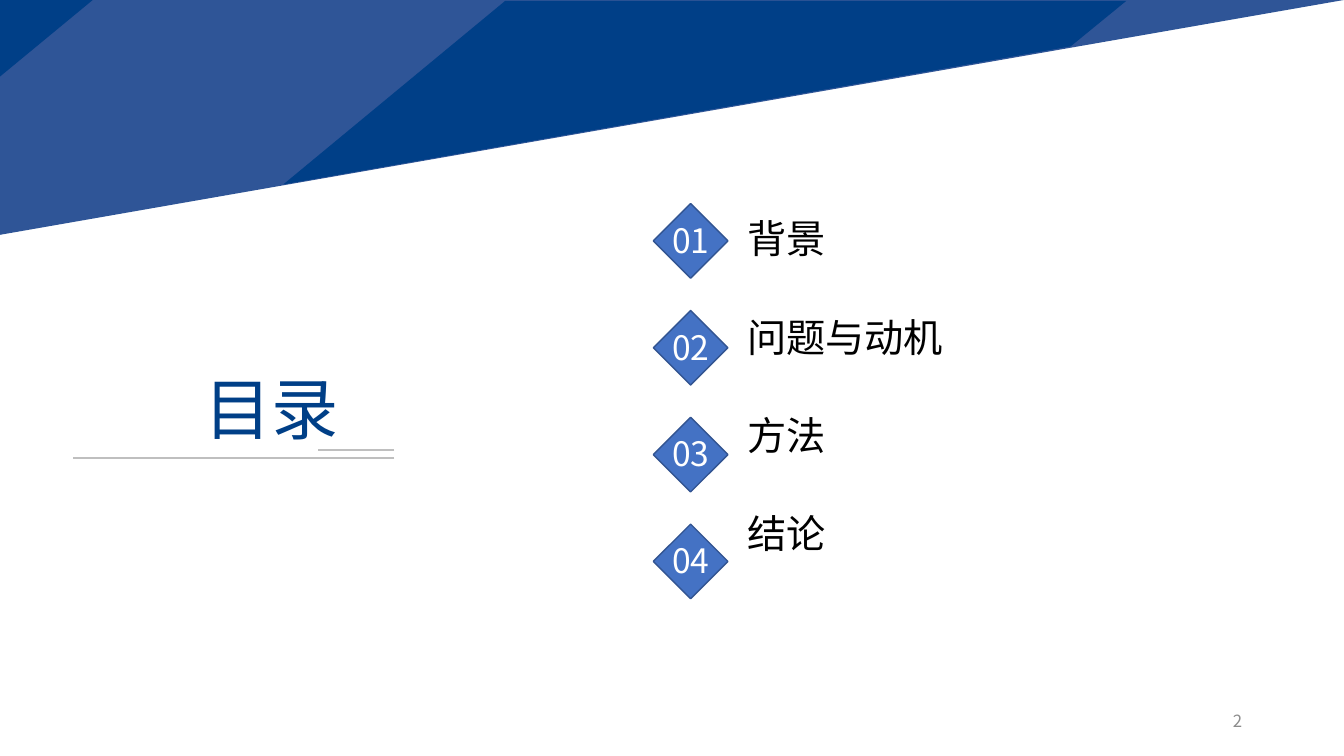
import dataclasses
import typing

import lxml.etree
import pptx
import pptx.dml.color
import pptx.enum.shapes
import pptx.enum.text
import pptx.oxml.ns
import pptx.util

Inches = pptx.util.Inches
Align = pptx.enum.text.PP_ALIGN
Anchor = pptx.enum.text.MSO_ANCHOR
qn = pptx.oxml.ns.qn


@dataclasses.dataclass(frozen=True)
class Theme:
    face: str = "Noto Sans CJK SC"
    navy: str = "003F87"
    steel: str = "2F5597"
    gem: str = "4472C4"
    edge: str = "325491"
    rule: str = "BFBFBF"
    grey: str = "8C8C8C"
    ink: str = "000000"
    white: str = "FFFFFF"
    title: float = 48
    item: float = 28
    badge: float = 24
    page: float = 12


@dataclasses.dataclass(frozen=True)
class Band:
    points: tuple[tuple[float, float], ...]
    color: str


@dataclasses.dataclass(frozen=True)
class Rule:
    left: float
    right: float
    top: float


@dataclasses.dataclass(frozen=True)
class Box:
    left: float
    top: float
    width: float
    height: float


THEME = Theme()
BANDS = (
    Band(((0, 0), (13.33, 0), (0, 2.33)), THEME.steel),
    Band(((0, 0), (0.92, 0), (0, 0.76)), THEME.navy),
    Band(((5.01, 0.01), (11.17, 0.01), (10.62, 0.46), (2.81, 1.83)), THEME.navy),
)
RULES = (Rule(0.72, 3.91, 4.54), Rule(3.15, 3.91, 4.46))
ITEMS = ("背景", "问题与动机", "方法", "结论")
PITCH = 1.06
ITEM_GAP = 36.5


def tint(code: str) -> pptx.dml.color.RGBColor:
    return pptx.dml.color.RGBColor.from_string(code)


def place(shape: typing.Any, box: Box) -> None:
    shape.left, shape.top = Inches(box.left), Inches(box.top)
    shape.width, shape.height = Inches(box.width), Inches(box.height)


def style(frame: typing.Any, size: float, color: str, align: Align,
          anchor: Anchor = Anchor.TOP) -> None:
    frame.word_wrap = True
    frame.auto_size = pptx.enum.text.MSO_AUTO_SIZE.NONE
    frame.vertical_anchor = anchor
    for line in frame.paragraphs:
        line.alignment = align
        for run in line.runs:
            run.font.size = pptx.util.Pt(size)
            run.font.color.rgb = tint(color)
            run.font.name = THEME.face
            east = lxml.etree.SubElement(run.font._element, qn("a:ea"))
            east.set("typeface", THEME.face)


def add_text(slide: typing.Any, box: Box, text: str, size: float, color: str,
             align: Align, anchor: Anchor = Anchor.TOP) -> None:
    shape = slide.shapes.add_textbox(0, 0, 0, 0)
    place(shape, box)
    shape.text_frame.text = text
    style(shape.text_frame, size, color, align, anchor)


def add_band(slide: typing.Any, band: Band) -> None:
    start, *rest = [(Inches(x), Inches(y)) for x, y in band.points]
    path = slide.shapes.build_freeform(*start)
    path.add_line_segments(rest, close=True)
    shape = path.convert_to_shape()
    shape.shadow.inherit = False
    shape.fill.solid()
    shape.fill.fore_color.rgb = tint(band.color)
    shape.line.fill.background()


def add_rule(slide: typing.Any, rule: Rule) -> None:
    line = slide.shapes.add_connector(
        pptx.enum.shapes.MSO_CONNECTOR.STRAIGHT,
        Inches(rule.right), Inches(rule.top), Inches(rule.left), Inches(rule.top))
    line.line.color.rgb = tint(THEME.rule)
    line.line.width = pptx.util.Pt(1.5)
    lxml.etree.SubElement(line._element.spPr, qn("a:effectLst"))


def add_badge(slide: typing.Any, index: int) -> None:
    top = 2.02 + index * PITCH
    gem = slide.shapes.add_shape(
        pptx.enum.shapes.MSO_SHAPE.DIAMOND,
        Inches(6.48), Inches(top), Inches(0.74), Inches(0.74))
    gem.shadow.inherit = False
    gem.fill.solid()
    gem.fill.fore_color.rgb = tint(THEME.gem)
    gem.line.color.rgb = tint(THEME.edge)
    gem.line.width = pptx.util.Pt(1)
    add_text(slide, Box(6.54, top + 0.11, 0.62, 0.5), f"{index + 1:02}",
             THEME.badge, THEME.white, Align.CENTER)


def fill_title(slide: typing.Any) -> None:
    title = slide.shapes.title
    place(title, Box(1.09, 3.59, 3.21, 1.07))
    title.text_frame.text = "目录"
    style(title.text_frame, THEME.title, THEME.navy, Align.CENTER)


def fill_list(slide: typing.Any) -> None:
    body = slide.placeholders[1]
    place(body, Box(7.31, 2.08, 4.91, 3.9))
    frame = body.text_frame
    frame.text = "\n".join(ITEMS)
    for index, line in enumerate(frame.paragraphs):
        props = line._p.get_or_add_pPr()
        props.set("marL", "0")
        props.set("indent", "0")
        lxml.etree.SubElement(props, qn("a:buNone"))
        line.line_spacing = 1.0
        line.space_before = pptx.util.Pt(ITEM_GAP if index else 0)
    style(frame, THEME.item, THEME.ink, Align.LEFT)


def main() -> None:
    deck = pptx.Presentation()
    deck.slide_width, deck.slide_height = Inches(13.33), Inches(7.5)
    slide = deck.slides.add_slide(deck.slide_layouts[1])
    fill_title(slide)
    fill_list(slide)
    for band in BANDS:
        add_band(slide, band)
    for rule in RULES:
        add_rule(slide, rule)
    for index in range(len(ITEMS)):
        add_badge(slide, index)
    add_text(slide, Box(9.42, 6.95, 3, 0.4), "2", THEME.page, THEME.grey,
             Align.RIGHT, Anchor.MIDDLE)
    deck.save("out.pptx")


if __name__ == "__main__":
    main()
